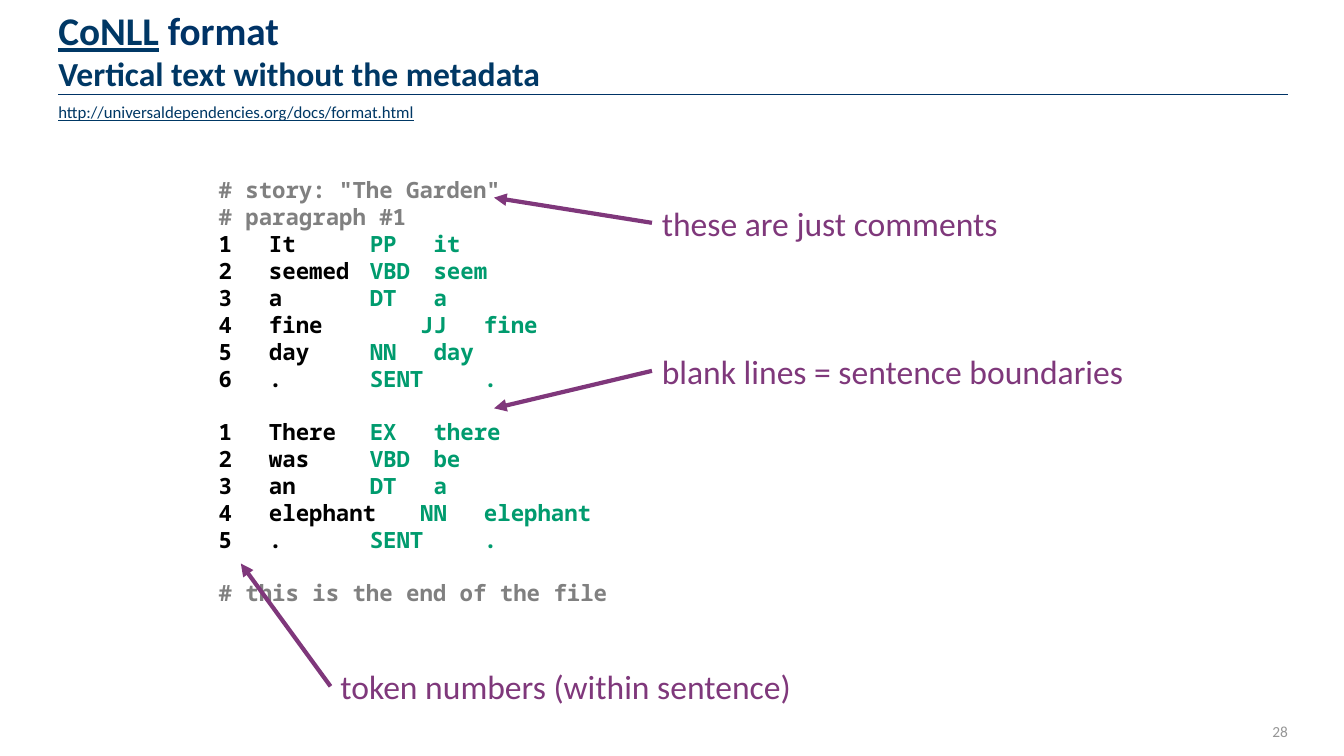
from dataclasses import dataclass

from pptx import Presentation
from pptx.dml.color import RGBColor
from pptx.enum.shapes import MSO_CONNECTOR
from pptx.enum.text import MSO_ANCHOR, MSO_AUTO_SIZE, PP_ALIGN
from pptx.oxml.ns import qn
from pptx.util import Cm, Pt
from lxml.etree import SubElement


@dataclass(frozen=True)
class Theme:
    sans: str = "Calibri"
    mono: str = "Noto Sans Mono"
    navy: str = "003865"
    rule: str = "003366"
    comment: str = "808080"
    token: str = "000000"
    tag: str = "009B6E"
    note: str = "7F387B"
    arrow: str = "7F377B"
    number: str = "969696"
    title_size: float = 28
    subtitle_size: float = 24
    note_size: float = 24
    code_size: float = 16
    code_line: float = 19.2
    link_size: float = 12
    number_size: float = 11


THEME = Theme()

SENTENCES = [
    ["1\tIt\t\t|PP\t it", "2\tseemed\t|VBD\t seem", "3\ta\t\t|DT\t a",
     "4\tfine\t\t|JJ\t fine", "5\tday\t\t|NN\t day", "6\t.\t\t|SENT\t ."],
    ["1\tThere\t|EX\t there", "2\twas\t\t|VBD\t be", "3\tan\t\t|DT\t a",
     "4\telephant\t|NN\t elephant", "5\t.\t\t|SENT\t ."],
]

# Label text, label box (cm), arrow tip (cm)
NOTES = [
    ("these are just comments", (16.43, 4.98, 9.27, 1.27), (12.45, 4.98)),
    ("blank lines = sentence boundaries", (16.43, 8.71, 12.17, 1.27), (12.45, 10.29)),
    ("token numbers (within sentence)", (8.33, 16.66, 12.17, 1.27), (6.07, 14.2)),
]


def style(font, size, color, name=THEME.sans, bold=False, underline=False):
    font.name, font.size = name, Pt(size)
    font.bold, font.underline = bold, underline
    font.color.rgb = RGBColor.from_string(color)


def set_frame(tf, insets=(0, 0, 0, 0), anchor=MSO_ANCHOR.TOP):
    tf.word_wrap = True
    tf.auto_size = MSO_AUTO_SIZE.NONE
    tf.vertical_anchor = anchor
    tf.margin_left, tf.margin_top, tf.margin_right, tf.margin_bottom = map(Cm, insets)


def add_text(s, box, text, insets, anchor=MSO_ANCHOR.TOP, align=PP_ALIGN.LEFT, **font):
    sp = s.shapes.add_textbox(*map(Cm, box))
    set_frame(sp.text_frame, insets, anchor)
    p = sp.text_frame.paragraphs[0]
    p.text, p.alignment = text, align
    style(p.font, **font)
    return sp


def add_line(s, start, end, color, width):
    line = s.shapes.add_connector(MSO_CONNECTOR.STRAIGHT, *map(Cm, (*start, *end)))
    line.line.color.rgb = RGBColor.from_string(color)
    line.line.width = Pt(width)
    SubElement(line._element.spPr, qn("a:effectLst"))
    return line


def add_header(s, box):
    left, top, width, height = box
    # Rule under the title
    add_line(s, (left, top + 2.06), (left + 30.99, top + 2.06), THEME.rule, 0.75)
    # Title with its second line
    title = s.shapes.title
    title.left, title.top, title.width, title.height = map(Cm, box)
    set_frame(title.text_frame, anchor=MSO_ANCHOR.BOTTOM)
    p = title.text_frame.paragraphs[0]
    p.alignment, p.line_spacing = PP_ALIGN.LEFT, Pt(28)
    r = p.add_run()
    r.text = "CoNLL"
    style(r.font, THEME.title_size, THEME.navy, bold=True, underline=True)
    r = p.add_run()
    r.text = " format"
    style(r.font, THEME.title_size, THEME.rule, bold=True)
    p.add_line_break()
    r = p.add_run()
    r.text = "Vertical text without the metadata"
    style(r.font, THEME.subtitle_size, THEME.navy, bold=True)
    # Address below the rule
    add_text(s, (left, top + 2.11, 11.63, 0.76),
             "http://universaldependencies.org/docs/format.html", (0, 0.13, 0, 0.13),
             size=THEME.link_size, color=THEME.navy, underline=True)


def add_code_line(p, parts, gap):
    tabs = SubElement(p._p.get_or_add_pPr(), qn("a:tabLst"))
    for stop in range(1, 9):
        SubElement(tabs, qn("a:tab"), pos=str(Cm(1.27 * stop)), algn="l")
    p.line_spacing = Pt(THEME.code_line)
    if gap:
        p.space_before = Pt(THEME.code_line)
    for text, color in parts:
        r = p.add_run()
        r.text = text
        style(r.font, THEME.code_size, color, THEME.mono, bold=True)


def add_code(s, box):
    tf = s.shapes.add_textbox(*map(Cm, box)).text_frame
    set_frame(tf)
    # Each line: coloured parts, and whether a gap precedes it
    lines = [([(text, THEME.comment)], False)
             for text in ('# story: "The Garden"', "# paragraph #1")]
    for n, sentence in enumerate(SENTENCES):
        for i, row in enumerate(sentence):
            parts = list(zip(row.split("|"), (THEME.token, THEME.tag)))
            lines.append((parts, n > 0 and i == 0))
    lines.append(([("# this is the end of the file", THEME.comment)], True))
    for i, (parts, gap) in enumerate(lines):
        add_code_line(tf.add_paragraph() if i else tf.paragraphs[0], parts, gap)


def add_note(s, box, text, tip):
    label = add_text(s, box, text, (0.25, 0.13, 0.25, 0.13),
                     size=THEME.note_size, color=THEME.note)
    left, top, _, height = box
    arrow = add_line(s, (left, top + height / 2), tip, THEME.arrow, 3)
    arrow.begin_connect(label, 1)
    SubElement(arrow.line._get_or_add_ln(), qn("a:tailEnd"), type="triangle")


def add_number(s, box):
    add_text(s, box, "28", (0.25, 0, 0, 0), MSO_ANCHOR.MIDDLE, PP_ALIGN.RIGHT,
             size=THEME.number_size, color=THEME.number)


def main():
    prs = Presentation()
    prs.slide_width, prs.slide_height = Cm(33.87), Cm(19.05)
    s = prs.slides.add_slide(prs.slide_layouts[5])
    add_header(s, (1.47, 0.33, 21.44, 2.01))
    add_code(s, (5.51, 4.45, 22.86, 14.15))
    for text, box, tip in NOTES:
        add_note(s, box, text, tip)
    add_number(s, (30.78, 17.81, 1.68, 1.24))
    prs.save("out.pptx")


if __name__ == "__main__":
    main()
